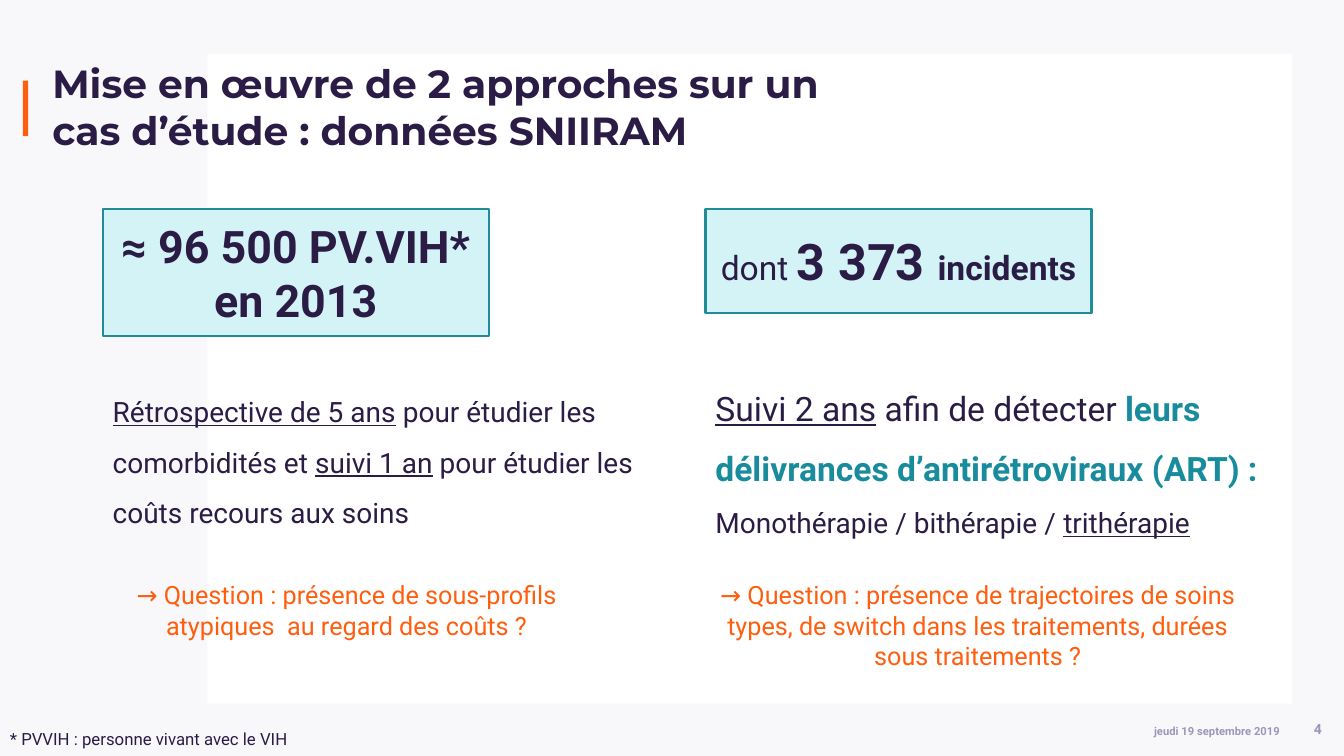
from dataclasses import dataclass

from pptx import Presentation
from pptx import util as u
from pptx.dml.color import RGBColor
from pptx.enum import shapes, text


@dataclass(frozen=True)
class Theme:
    """Colours, fonts and type sizes of the slide."""
    ground: str = "F8F8FB"
    panel: str = "FFFFFF"
    ink: str = "2B1C46"
    accent: str = "FF5E0F"
    teal: str = "188C9C"
    card: str = "D3F3F6"
    card_edge: str = "208C94"
    muted: str = "9B97BA"
    heading_font: str = "Montserrat"
    body_font: str = "Roboto"
    title: int = 28
    figure: int = 36
    count: int = 32
    lead: int = 24
    body: int = 20
    question: int = 18
    footnote: int = 12
    page: int = 10
    date: int = 8


THEME = Theme()
LEFT, RIGHT = 2.59, 17.78
CARD_TOP, CARD_WIDTH = 5.26, 9.73
STUDY_WIDTH = 14.73
QUESTION_TOP = 14.48
CENTER = text.PP_ALIGN.CENTER
MIDDLE = text.MSO_ANCHOR.MIDDLE


def rgb(code):
    """Return the colour object of a hexadecimal code."""
    return RGBColor.from_string(code)


def write(paragraph, words, size=THEME.body, color=THEME.ink, bold=False,
          underline=False, font=THEME.body_font):
    """Append one formatted run to a paragraph."""
    run = paragraph.add_run()
    run.text = words
    run.font.name = font
    run.font.size = u.Pt(size)
    run.font.color.rgb = rgb(color)
    run.font.bold = bold
    run.font.underline = underline


def fill_frame(frame, paragraphs, align=text.PP_ALIGN.LEFT,
               anchor=text.MSO_ANCHOR.TOP, spacing=None):
    """Fill a text frame with paragraphs made of (words, format) runs."""
    frame.word_wrap = True
    frame.vertical_anchor = anchor
    for index, runs in enumerate(paragraphs):
        paragraph = frame.add_paragraph() if index else frame.paragraphs[0]
        paragraph.alignment = align
        if spacing:
            paragraph.line_spacing = spacing
        for words, style in runs:
            write(paragraph, words, **style)


def add_text(slide, area, paragraphs, **layout):
    """Add a wrapping text box and return its frame."""
    frame = slide.shapes.add_textbox(*map(u.Cm, area)).text_frame
    fill_frame(frame, paragraphs, **layout)
    return frame


def add_block(slide, area, fill, edge=None):
    """Add a flat rectangle with an optional outline."""
    block = slide.shapes.add_shape(
        shapes.MSO_SHAPE.RECTANGLE, *map(u.Cm, area))
    block.shadow.inherit = False
    block.fill.solid()
    block.fill.fore_color.rgb = rgb(fill)
    if edge:
        block.line.color.rgb = rgb(edge)
        block.line.width = u.Pt(1.5)
    else:
        block.line.fill.background()
    return block


def add_card(slide, left, height, runs):
    """Add a key-figure card with centred text."""
    card = add_block(slide, (left, CARD_TOP, CARD_WIDTH, height),
                     THEME.card, THEME.card_edge)
    fill_frame(card.text_frame, [runs], align=CENTER, anchor=MIDDLE)


def add_question(slide, left, width, height, words):
    """Add a centred research question."""
    style = dict(size=THEME.question, color=THEME.accent)
    add_text(slide, (left, QUESTION_TOP, width, height),
             [[(words, style)]], align=CENTER)


def add_heading(slide):
    """Add the white panel, the accent bar and the title."""
    add_block(slide, (5.23, 1.35, 27.33, 16.38), THEME.panel)
    add_block(slide, (0.58, 2.03, 0.13, 1.4), THEME.accent)
    style = dict(size=THEME.title, bold=True, font=THEME.heading_font)
    title = "Mise en œuvre de 2 approches sur un cas d’étude : données SNIIRAM"
    frame = add_text(slide, (1.32, 1.7, 20.8, 2.11), [[(title, style)]],
                     anchor=MIDDLE)
    frame.margin_left = frame.margin_top = 0
    frame.margin_right, frame.margin_bottom = u.Cm(0.61), u.Cm(0.13)


def add_footer(slide):
    """Add the footnote, the date and the page number."""
    add_text(slide, (0, 18.24, 13.72, 0.76),
             [[("* PVVIH : personne vivant avec le VIH",
                dict(size=THEME.footnote))]])
    muted = dict(color=THEME.muted, bold=True)
    add_text(slide, (28.4, 17.75, 4.11, 1.32),
             [[("jeudi 19 septembre 2019", dict(muted, size=THEME.date))]],
             align=text.PP_ALIGN.RIGHT, anchor=MIDDLE)
    add_text(slide, (32.56, 17.73, 1.3, 1.3),
             [[("4", dict(muted, size=THEME.page))]],
             align=CENTER, anchor=MIDDLE)


def add_prevalent_study(slide):
    """Add the left column on all people living with HIV."""
    add_card(slide, LEFT, 3.2, [
        ("≈ 96 500 PV.VIH* en 2013", dict(size=THEME.count, bold=True))])
    add_text(slide, (LEFT, 9.4, STUDY_WIDTH, 3.96), [[
        ("Rétrospective de 5 ans", dict(underline=True)),
        (" pour étudier les comorbidités et ", {}),
        ("suivi 1 an", dict(underline=True)),
        (" pour étudier les coûts recours aux soins", {}),
    ]], spacing=1.5)
    add_question(slide, LEFT, 12.29, 1.8,
                 "→ Question : présence de sous-profils atypiques  "
                 "au regard des coûts ?")


def add_incident_study(slide):
    """Add the right column on incident cases."""
    lead = dict(size=THEME.lead)
    add_card(slide, RIGHT, 2.62, [
        ("dont ", lead),
        ("3 373 ", dict(size=THEME.figure, bold=True)),
        ("incidents", dict(lead, bold=True))])
    add_text(slide, (RIGHT, 9.14, STUDY_WIDTH, 4.47), [
        [("Suivi 2 ans", dict(lead, underline=True)),
         (" afin de détecter ", lead),
         ("leurs délivrances d’antirétroviraux (ART) :",
          dict(lead, color=THEME.teal, bold=True))],
        [("Monothérapie / bithérapie / ", {}),
         ("trithérapie", dict(underline=True))],
    ], spacing=1.5)
    add_question(slide, RIGHT, 13.72, 2.57,
                 "→ Question : présence de trajectoires de soins types, "
                 "de switch dans les traitements, durées sous traitements ?")


def main():
    """Build the slide and save it."""
    deck = Presentation()
    deck.slide_width, deck.slide_height = u.Cm(33.87), u.Cm(19.05)
    slide = deck.slides.add_slide(deck.slide_layouts[6])
    slide.background.fill.solid()
    slide.background.fill.fore_color.rgb = rgb(THEME.ground)
    add_heading(slide)
    add_prevalent_study(slide)
    add_incident_study(slide)
    add_footer(slide)
    deck.save("out.pptx")


if __name__ == "__main__":
    main()
